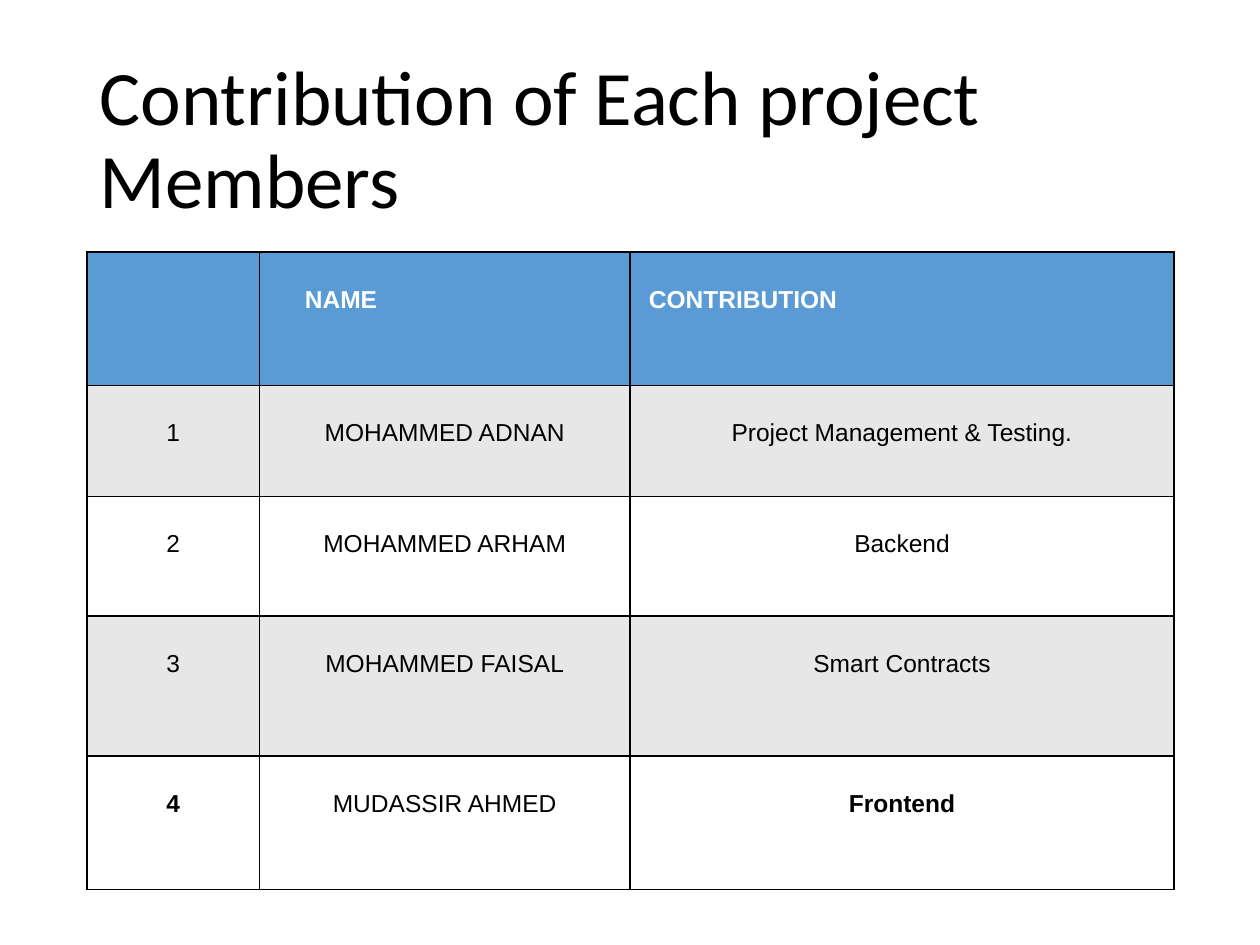
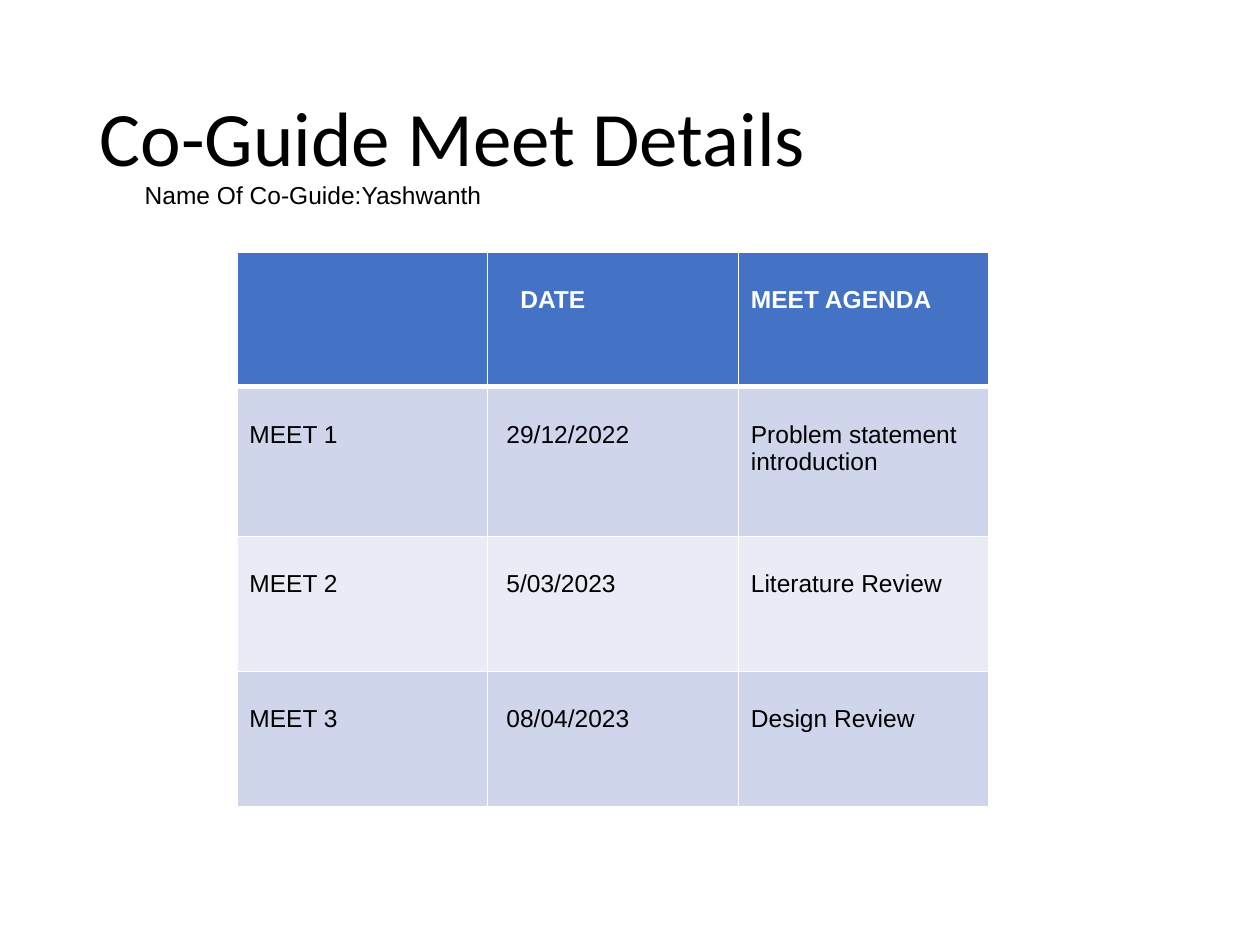
from dataclasses import dataclass

from lxml.etree import SubElement
from pptx import Presentation
from pptx.dml.color import RGBColor
from pptx.enum.text import MSO_ANCHOR, MSO_AUTO_SIZE, PP_ALIGN
from pptx.oxml.ns import qn
from pptx.util import Inches, Pt


@dataclass(frozen=True)
class Theme:
    title_font: str = "Calibri"
    body_font: str = "Arial"
    title_size: int = 44
    body_size: int = 14
    black: str = "000000"
    white: str = "FFFFFF"


@dataclass(frozen=True)
class TableStyle:
    header: str
    bands: tuple
    border: str
    header_rule: int
    body_align: PP_ALIGN
    header_margins: tuple
    body_margins: tuple
    bold_cells: tuple = ()


THEME = Theme()
MEMBERS_STYLE = TableStyle(
    header="5B9BD5", bands=("E7E7E7", "FFFFFF"), border=THEME.black, header_rule=1,
    body_align=PP_ALIGN.CENTER, header_margins=(0.1, 0.36, 0.15),
    body_margins=(0.1, 0.1, 0.1), bold_cells=("4", "Frontend"),
)
MEETINGS_STYLE = TableStyle(
    header="4472C4", bands=("CFD5EA", "E9EBF5"), border=THEME.white, header_rule=3,
    body_align=PP_ALIGN.LEFT, header_margins=(0.1, 0.26, 0.1),
    body_margins=(0.1, 0.15, 0.1),
)


class SlideBuilder:
    def __init__(self, presentation, theme):
        self.presentation = presentation
        self.theme = theme
        self.slide = None

    def format_paragraph(self, paragraph, font, size, color, bold=False, align=PP_ALIGN.LEFT):
        paragraph.alignment = align
        for run in paragraph.runs:
            run.font.name = font
            run.font.size = Pt(size)
            run.font.bold = bold
            run.font.color.rgb = RGBColor.from_string(color)

    def add_slide(self, title):
        self.slide = self.presentation.slides.add_slide(self.presentation.slide_layouts[5])
        shape = self.slide.shapes.title
        shape.left, shape.top = Inches(0.69), Inches(0.4)
        shape.width, shape.height = Inches(8.62), Inches(1.45)
        frame = shape.text_frame
        frame.text = title
        frame.word_wrap = True
        frame.auto_size = MSO_AUTO_SIZE.NONE
        frame.vertical_anchor = MSO_ANCHOR.MIDDLE
        paragraph = frame.paragraphs[0]
        paragraph.line_spacing = 0.9
        self.format_paragraph(
            paragraph, self.theme.title_font, self.theme.title_size, self.theme.black
        )

    def add_text(self, text, left, top, width, height):
        shape = self.slide.shapes.add_textbox(
            Inches(left), Inches(top), Inches(width), Inches(height)
        )
        frame = shape.text_frame
        frame.text = text
        frame.word_wrap = True
        self.format_paragraph(
            frame.paragraphs[0], self.theme.body_font, self.theme.body_size, self.theme.black
        )

    def set_borders(self, cell, color, top, bottom):
        properties = cell._tc.get_or_add_tcPr()
        for side, width in (("L", 1), ("R", 1), ("T", top), ("B", bottom)):
            line = SubElement(properties, qn(f"a:ln{side}"), w=str(Pt(width)))
            fill = SubElement(line, qn("a:solidFill"))
            SubElement(fill, qn("a:srgbClr"), val=color)

    def format_cell(self, cell, text, row, column, style):
        is_header = row == 0
        self.set_borders(
            cell, style.border,
            top=style.header_rule if row == 1 else 1,
            bottom=style.header_rule if is_header else 1,
        )
        cell.fill.solid()
        fill = style.header if is_header else style.bands[(row - 1) % 2]
        cell.fill.fore_color.rgb = RGBColor.from_string(fill)
        margins = style.header_margins if is_header else style.body_margins
        cell.margin_left = Inches(margins[column])
        cell.margin_top = Inches(0.27)
        cell.text_frame.text = text
        self.format_paragraph(
            cell.text_frame.paragraphs[0], self.theme.body_font, self.theme.body_size,
            self.theme.white if is_header else self.theme.black,
            bold=is_header or text in style.bold_cells,
            align=PP_ALIGN.LEFT if is_header else style.body_align,
        )

    def add_table(self, rows, left, top, widths, heights, style):
        table = self.slide.shapes.add_table(
            len(rows), len(widths), Inches(left), Inches(top),
            Inches(sum(widths)), Inches(sum(heights)),
        ).table
        table.horz_banding = False
        for column, width in zip(table.columns, widths):
            column.width = Inches(width)
        for row, height in zip(table.rows, heights):
            row.height = Inches(height)
        for row, texts in enumerate(rows):
            for column, text in enumerate(texts):
                self.format_cell(table.cell(row, column), text, row, column, style)


def main():
    presentation = Presentation()
    presentation.slide_width, presentation.slide_height = Inches(10), Inches(7.5)
    builder = SlideBuilder(presentation, THEME)

    builder.add_slide("Contribution of Each project Members")
    members = [
        ("", "NAME", "CONTRIBUTION"),
        ("1", "MOHAMMED ADNAN", "Project Management & Testing."),
        ("2", "MOHAMMED ARHAM", "Backend"),
        ("3", "MOHAMMED FAISAL", "Smart Contracts"),
        ("4", "MUDASSIR AHMED", "Frontend"),
    ]
    builder.add_table(
        members, 0.69, 2, (1.37, 2.94, 4.32), (1.06, 0.88, 0.95, 1.11, 1.06), MEMBERS_STYLE
    )

    builder.add_slide("Co-Guide Meet Details")
    meetings = [
        ("", "DATE", "MEET AGENDA"),
        ("MEET 1", "29/12/2022", "Problem statement introduction"),
        ("MEET 2", "5/03/2023", "Literature Review"),
        ("MEET 3", "08/04/2023", "Design Review"),
    ]
    builder.add_table(
        meetings, 1.88, 2, (1.99,) * 3, (1.07, 1.19, 1.07, 1.07), MEETINGS_STYLE
    )
    builder.add_text("Name Of Co-Guide:Yashwanth", 1.05, 1.38, 5.68, 0.34)

    presentation.save("out.pptx")


if __name__ == "__main__":
    main()
